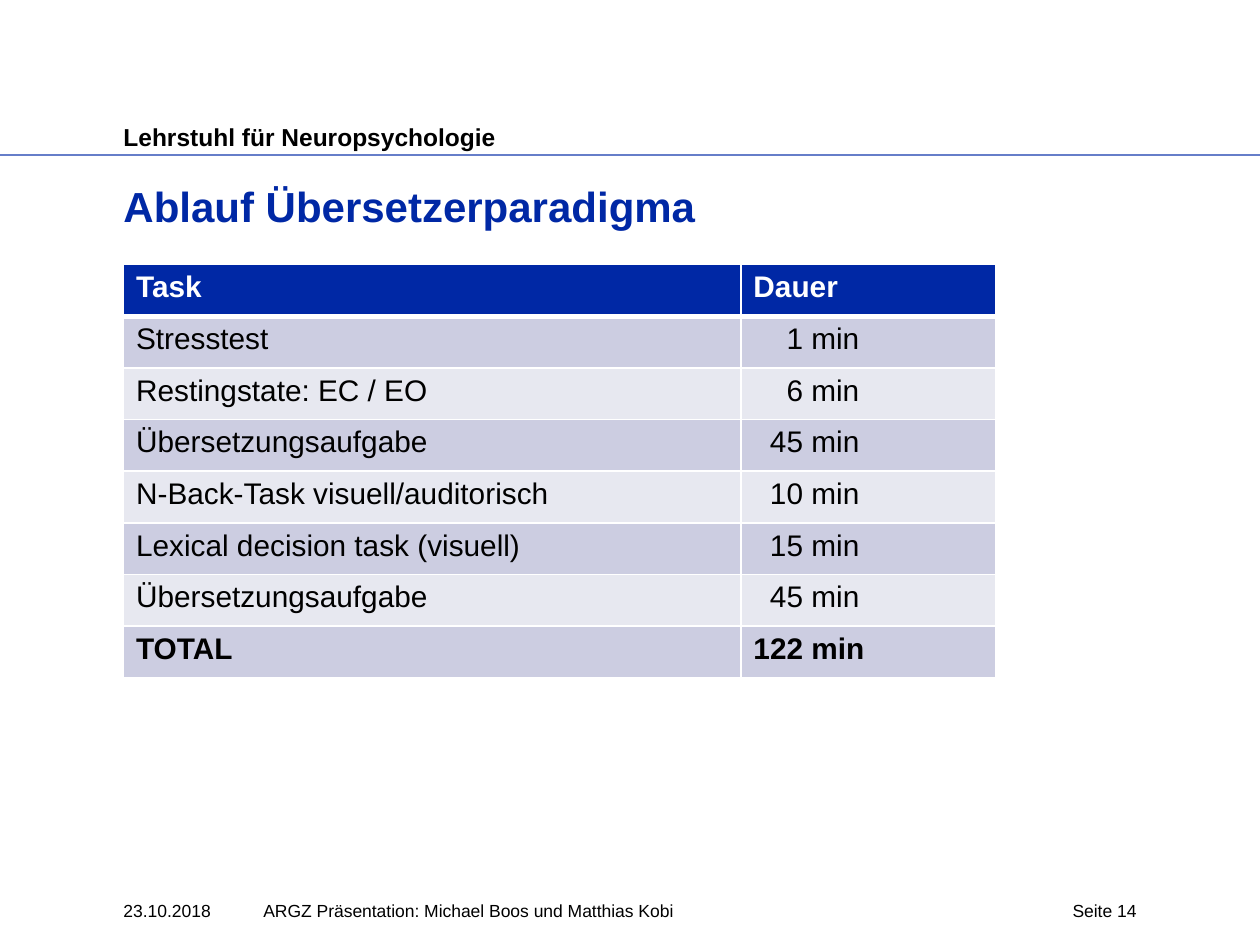
from dataclasses import dataclass

import lxml.etree
import pptx
import pptx.dml.color
import pptx.enum.shapes
import pptx.enum.text
import pptx.oxml.ns
import pptx.util

Inches = pptx.util.Inches
Align = pptx.enum.text.PP_ALIGN
qn = pptx.oxml.ns.qn


@dataclass(frozen=True)
class Theme:
    font: str = "Arial"
    blue: str = "0028A5"
    rule: str = "667EC9"
    black: str = "000000"
    white: str = "FFFFFF"
    bands: tuple = ("CCCDE1", "E7E8F0")
    title_size: int = 24
    table_size: int = 17
    header_size: int = 14
    footer_size: int = 10


@dataclass(frozen=True)
class Label:
    text: str
    left: float
    top: float
    width: float
    height: float
    size: int
    inset_top: float = 0
    bold: bool = False
    color: str = "000000"
    align: Align = Align.LEFT


@dataclass(frozen=True)
class Task:
    name: str
    minutes: int
    bold: bool = False


THEME = Theme()
WIDTH, HEIGHT = 10, 7.5
MARGIN = 0.98
CONTENT_WIDTH = 8.03
FOOTER_TOP, FOOTER_HEIGHT = 7.14, 0.24
TABLE_TOP, ROW_HEIGHT = 2.1, 0.41
COLUMNS = (4.9, 2.02)
CELL_MARGIN = 0.1
DIGIT_WIDTH = 0.556 * THEME.table_size / 72  # Arial digits are 0.556 em wide

TITLE = Label("Ablauf Übersetzerparadigma", MARGIN, 1.39, CONTENT_WIDTH, 0.55,
              THEME.title_size, 0.04, True, THEME.blue)
LABELS = (
    Label("Lehrstuhl für Neuropsychologie", MARGIN, 0.93, CONTENT_WIDTH, 0.25,
          THEME.header_size, 0.04, True),
    Label("23.10.2018", MARGIN, FOOTER_TOP, 1.02, FOOTER_HEIGHT, THEME.footer_size),
    Label("ARGZ Präsentation: Michael Boos und Matthias Kobi", 2.09, FOOTER_TOP,
          5.75, FOOTER_HEIGHT, THEME.footer_size),
    Label("Seite 14", 8.15, FOOTER_TOP, 0.87, FOOTER_HEIGHT, THEME.footer_size,
          align=Align.RIGHT),
)
STEPS = (
    Task("Stresstest", 1),
    Task("Restingstate: EC / EO", 6),
    Task("Übersetzungsaufgabe", 45),
    Task("N-Back-Task visuell/auditorisch", 10),
    Task("Lexical decision task (visuell)", 15),
    Task("Übersetzungsaufgabe", 45),
)
TASKS = STEPS + (Task("TOTAL", sum(step.minutes for step in STEPS), True),)


def rgb(color: str) -> pptx.dml.color.RGBColor:
    return pptx.dml.color.RGBColor.from_string(color)


def write(frame, text: str, size: int, color: str, bold: bool) -> None:
    frame.text = text
    for span in frame.paragraphs[0].runs:
        span.font.name = THEME.font
        span.font.size = pptx.util.Pt(size)
        span.font.bold = bold
        span.font.color.rgb = rgb(color)


def place_label(box, label: Label) -> None:
    box.left, box.top = Inches(label.left), Inches(label.top)
    box.width, box.height = Inches(label.width), Inches(label.height)
    frame = box.text_frame
    write(frame, label.text, label.size, label.color, label.bold)
    frame.word_wrap = True
    frame.auto_size = pptx.enum.text.MSO_AUTO_SIZE.NONE
    frame.vertical_anchor = pptx.enum.text.MSO_ANCHOR.TOP
    frame.margin_left = frame.margin_right = frame.margin_bottom = 0
    frame.margin_top = Inches(label.inset_top)
    frame.paragraphs[0].alignment = label.align


def draw_rule(page, top: float) -> None:
    rule = page.shapes.add_connector(pptx.enum.shapes.MSO_CONNECTOR.STRAIGHT,
                                     0, Inches(top), Inches(WIDTH), Inches(top))
    rule.line.color.rgb = rgb(THEME.rule)
    rule.line.width = pptx.util.Pt(1.25)
    lxml.etree.SubElement(rule._element.spPr, qn("a:effectLst"))


def set_borders(cell, top: float, bottom: float) -> None:
    widths = {"a:lnL": 1, "a:lnR": 1, "a:lnT": top, "a:lnB": bottom}
    properties = cell._tc.get_or_add_tcPr()
    for position, (tag, width) in enumerate(widths.items()):
        border = lxml.etree.Element(qn(tag), w=str(pptx.util.Pt(width)))
        fill = lxml.etree.SubElement(border, qn("a:solidFill"))
        lxml.etree.SubElement(fill, qn("a:srgbClr"), val=THEME.white)
        properties.insert(position, border)


def fill_cell(cell, text: str, color: str, bold: bool, background: str,
              indent: float = 0, top: float = 1, bottom: float = 1) -> None:
    write(cell.text_frame, text, THEME.table_size, color, bold)
    cell.margin_left = Inches(CELL_MARGIN + indent)
    cell.fill.solid()
    cell.fill.fore_color.rgb = rgb(background)
    set_borders(cell, top, bottom)


def draw_schedule(page) -> None:
    count = len(TASKS) + 1
    table = page.shapes.add_table(
        count, len(COLUMNS), Inches(MARGIN), Inches(TABLE_TOP),
        Inches(sum(COLUMNS)), Inches(count * ROW_HEIGHT)).table
    for column, width in zip(table.columns, COLUMNS):
        column.width = Inches(width)
    for row in table.rows:
        row.height = Inches(ROW_HEIGHT)

    for column, heading in enumerate(("Task", "Dauer")):
        fill_cell(table.cell(0, column), heading, THEME.white, True,
                  THEME.blue, bottom=3)

    # Durations line up on their last digit
    digits = max(len(str(task.minutes)) for task in TASKS)
    for row, task in enumerate(TASKS, start=1):
        band = THEME.bands[(row - 1) % 2]
        top = 3 if row == 1 else 1
        indent = (digits - len(str(task.minutes))) * DIGIT_WIDTH
        fill_cell(table.cell(row, 0), task.name, THEME.black, task.bold, band, top=top)
        fill_cell(table.cell(row, 1), f"{task.minutes} min", THEME.black,
                  task.bold, band, indent, top)


def main() -> None:
    deck = pptx.Presentation()
    deck.slide_width, deck.slide_height = Inches(WIDTH), Inches(HEIGHT)
    page = deck.slides.add_slide(deck.slide_layouts[5])

    # Header rule, title, header and footer texts
    draw_rule(page, 1.23)
    place_label(page.shapes.title, TITLE)
    for label in LABELS:
        place_label(page.shapes.add_textbox(0, 0, 0, 0), label)

    # Schedule
    draw_schedule(page)
    deck.save("out.pptx")


if __name__ == "__main__":
    main()
